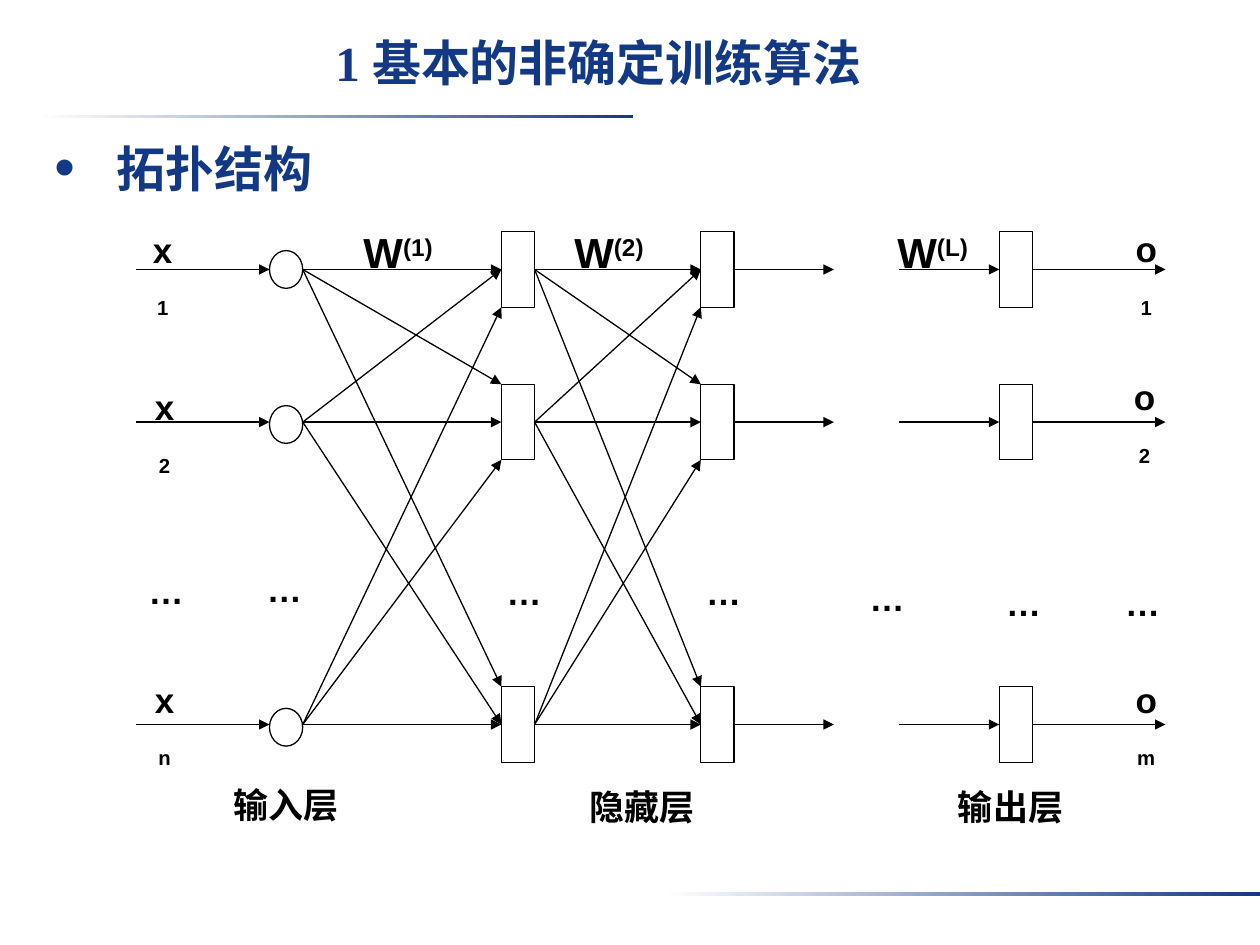
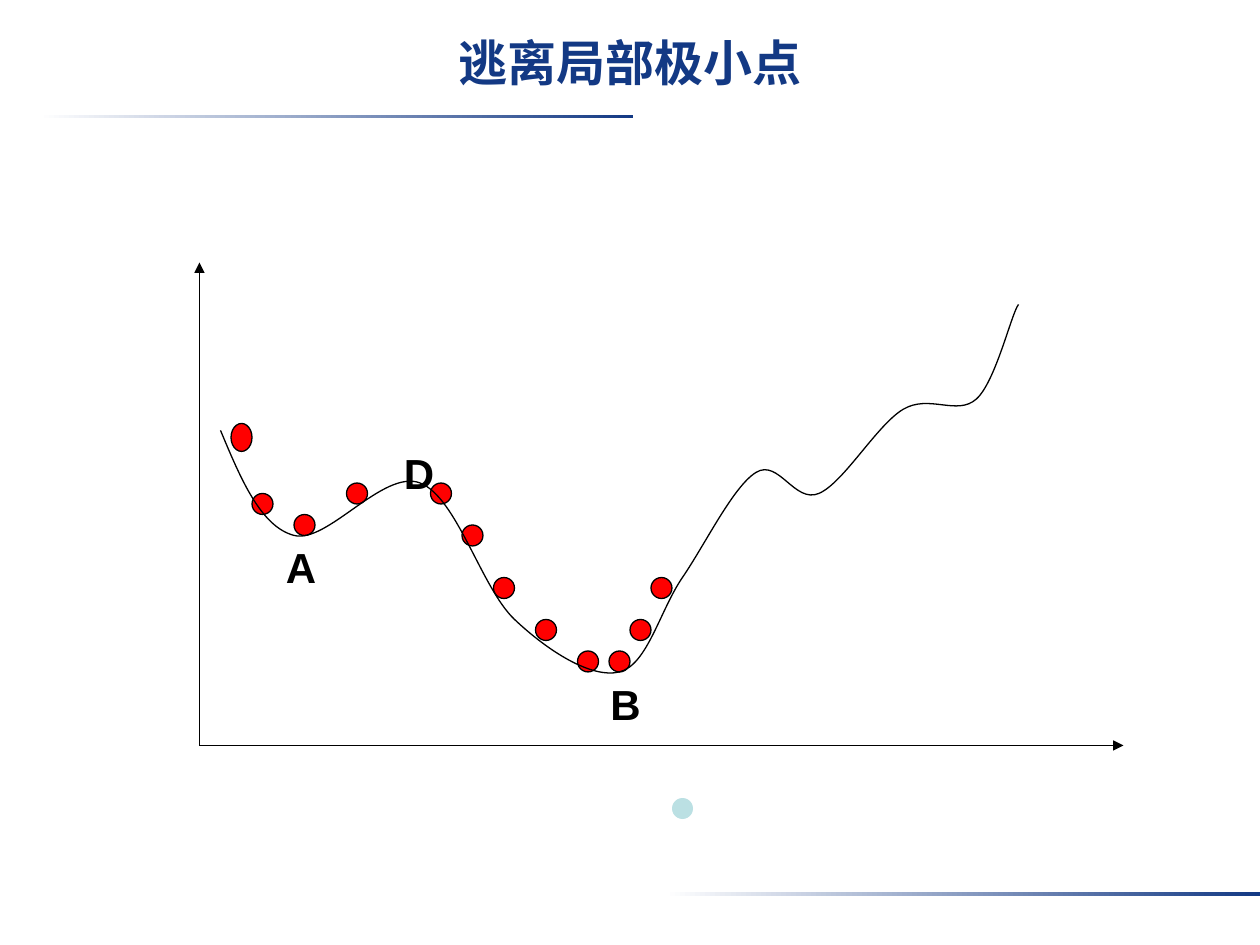
"""Build two slides on non-deterministic training: network topology and escaping a local minimum."""
import pptx
import pptx.dml.color
import pptx.enum.shapes
import pptx.enum.text
import pptx.oxml
import pptx.oxml.ns
import pptx.util

Pt = pptx.util.Pt
KIND = pptx.enum.shapes.MSO_SHAPE
CENTER = pptx.enum.text.PP_ALIGN.CENTER
NAVY, BLACK, WHITE, RED, PALE = "133984", "000000", "FFFFFF", "FF0000", "BBE0E3"
HEADING = {"size": Pt(28), "bold": True, "name": "Times New Roman"}
LABEL = {"size": Pt(20), "bold": True, "name": "Arial"}
LARGE = {**LABEL, "size": Pt(24)}


def color(value):
    return pptx.dml.color.RGBColor.from_string(value)


def write(page, area, runs, font, ink, frame_format, paragraph_format):
    box = page.shapes.add_textbox(*[Pt(length) for length in area])
    for name, value in frame_format.items():
        setattr(box.text_frame, name, value)
    para = box.text_frame.paragraphs[0]
    for name, value in paragraph_format.items():
        setattr(para, name, value)
    for text, baseline in runs:
        span = para.add_run()
        span.text = text
        for name, value in font.items():
            setattr(span.font, name, value)
        span.font.color.rgb = color(ink)
        if baseline:
            span.font._element.set("baseline", str(baseline * 1000))
    return para


row_centers = [154, 241.2, 414]
box_width, box_height = 19, 43.2
half = box_height / 2
input_left, hidden_left, second_left, output_left = 154, 286.5, 400.5, 571
links = [(0, 0, 0), (1, 1, 0), (2, 2, 0), (0, 1, -half), (0, 2, -half),
         (1, 0, 0), (1, 2, 0), (2, 0, half), (2, 1, half)]

network_shapes = [(KIND.OVAL, input_left, top, box_width, 21.6, WHITE, True)
                  for top in (143.2, 231.8, 404.8)]
network_shapes += [(KIND.RECTANGLE, left, center - half, box_width, box_height, WHITE, True)
                   for left in (hidden_left, second_left, output_left) for center in row_centers]
stubs = [(78, input_left), (second_left + box_width, 476.5), (514, output_left),
         (output_left + box_width, 666)]
network_arrows = [(start, center, end, center) for start, end in stubs for center in row_centers]
network_arrows += [(left + box_width, row_centers[source], right, row_centers[target] + shift)
                   for left, right in ((input_left, hidden_left), (hidden_left, second_left))
                   for source, target, shift in links]

network_labels = [(center, top, [(text, 0)], LABEL) for text, center, top in [
    ("输出层", 577.5, 445.5), ("隐藏层", 367, 445.5), ("输入层", 163.5, 444.2)]]
network_labels += [(center, top, [("…", 0)], LABEL) for center, top in [
    (95, 322), (162.5, 321), (299.5, 322.5), (413.5, 322.5), (507, 326), (585, 328.5), (653, 328.5)]]
network_labels += [(center, 126, [("W", 0), (layer, 30)], LARGE) for layer, center in [
    ("(1)", 227.5), ("(2)", 348), ("(L)", 533)]]
signals = [("x", "1", 93, 127), ("x", "2", 94, 217), ("x", "n", 94, 384),
           ("o", "1", 655, 126.5), ("o", "2", 654, 211), ("o", "m", 655, 384)]

ball = 12
ball_corners = [(144, 282), (168, 294), (198, 276), (246, 276), (264, 300), (282, 330),
                (306, 354), (330, 372), (348, 372), (360, 354), (372, 330)]
descent_shapes = [(KIND.OVAL, 132, 242, ball, 16, RED, True)]
descent_shapes += [(KIND.OVAL, left, top, ball, ball, RED, True) for left, top in ball_corners]
descent_shapes += [(KIND.OVAL, 384, 456, ball, ball, PALE, False)]
descent_arrows = [(114, 426, 114, 150), (114, 426, 642, 426)]
descent_labels = [(center, top, [(text, 0)], LARGE) for text, center, top in [
    ("D", 239.5, 252), ("B", 357.5, 384), ("A", 172, 306)]]
curve_start = (126, 246)
curve_pieces = [
    ((137.5, 273.5), (149, 301), (168, 306)), ((187, 311), (219, 268), (240, 276)),
    ((261, 284), (275, 336), (294, 354)), ((313, 372), (338, 388), (354, 384)),
    ((370, 380), (377, 349), (390, 330)), ((403, 311), (419, 278), (432, 270)),
    ((445, 262), (454, 288), (468, 282)), ((482, 276), (501, 243), (516, 234)),
    ((531, 225), (547, 238), (558, 228)), ((569, 218), (578, 179), (582, 174))]

deck = pptx.Presentation()
deck.slide_width, deck.slide_height = Pt(720), Pt(540)
slides = [
    ("1 基本的非确定训练算法", 684, HEADING, network_shapes, network_arrows, network_labels),
    ("逃离局部极小点", 720, {**HEADING, "name": "Arial"}, descent_shapes, descent_arrows, descent_labels)]

for title, title_width, title_font, shapes, arrows, labels in slides:
    page = deck.slides.add_slide(deck.slide_layouts[6])
    for left, top in ((22, 65.5), (380, 510)):
        band = page.shapes.add_shape(KIND.RECTANGLE, Pt(left), Pt(top), Pt(340), Pt(2.2))
        band.shadow.inherit = False
        band.line.fill.background()
        band.fill.gradient()
        band.fill.gradient_angle = 0
        for stop, shade in zip(band.fill.gradient_stops, (WHITE, NAVY)):
            stop.color.rgb = color(shade)
    write(page, (0, 14.4, title_width, 54), [(title, 0)], title_font, NAVY,
          {"word_wrap": True, "margin_top": Pt(4.3)}, {"alignment": CENTER})

    side_middles = {}
    for kind, left, top, width, height, fill, outlined in shapes:
        shape = page.shapes.add_shape(kind, Pt(left), Pt(top), Pt(width), Pt(height))
        shape.shadow.inherit = False
        shape.fill.solid()
        shape.fill.fore_color.rgb = color(fill)
        if outlined:
            shape.line.color.rgb = color(BLACK)
            shape.line.width = Pt(0.75)
        else:
            shape.line.fill.background()
        if kind == KIND.RECTANGLE:
            middle = round(top + height / 2, 2)
            side_middles[left, middle] = (shape, 1)
            side_middles[left + width, middle] = (shape, 3)

    for start_x, start_y, end_x, end_y in arrows:
        arrow = page.shapes.add_connector(pptx.enum.shapes.MSO_CONNECTOR.STRAIGHT,
                                          Pt(start_x), Pt(start_y), Pt(end_x), Pt(end_y))
        arrow.line.color.rgb = color(BLACK)
        arrow.line.width = Pt(0.75)
        head = pptx.oxml.ns.qn("a:tailEnd")
        arrow.line._get_or_add_ln().append(arrow._element.makeelement(head, {"type": "triangle"}))
        effects = pptx.oxml.ns.qn("a:effectLst")
        arrow._element.spPr.append(arrow._element.makeelement(effects, {}))
        if (start_x, start_y) in side_middles:
            arrow.begin_connect(*side_middles[start_x, start_y])
        if (end_x, end_y) in side_middles:
            arrow.end_connect(*side_middles[end_x, end_y])

    for center, top, runs, font in labels:
        write(page, (center - 40, top, 80, 32), runs, font, BLACK,
              {"word_wrap": False}, {"alignment": CENTER})

network_page, descent_page = deck.slides
topic = write(network_page, (24, 72, 174, 48), [("拓扑结构", 0)], HEADING, NAVY,
              {"word_wrap": True}, {"line_spacing": 1.1})
topic_format = topic._p.get_or_add_pPr()
for name, value in {"marL": Pt(35.5), "indent": Pt(-35.5)}.items():
    topic_format.set(name, str(value))
for tag, attributes in (("a:buSzPct", {"val": "120000"}), ("a:buFont", {"typeface": "Arial"}),
                        ("a:buChar", {"char": "•"})):
    topic_format.append(topic_format.makeelement(pptx.oxml.ns.qn(tag), attributes))

tight = {"word_wrap": True, "margin_left": 0, "margin_right": 0}
for letter, index, center, top in signals:
    write(network_page, (center - 7.5, top, 15, 60), [(letter, 0), (index, -30)], LABEL, BLACK,
          tight, {"alignment": CENTER})

builder = descent_page.shapes.build_freeform(Pt(curve_start[0]), Pt(curve_start[1]))
builder.add_line_segments([(Pt(x), Pt(y)) for *_, (x, y) in curve_pieces], close=False)
curve = builder.convert_to_shape()
curve.shadow.inherit = False
curve.fill.background()
curve.line.color.rgb = color(BLACK)
curve.line.width = Pt(0.75)
for segment, piece in zip(list(curve._element.iter(pptx.oxml.ns.qn("a:lnTo"))), curve_pieces):
    bend = segment.makeelement(pptx.oxml.ns.qn("a:cubicBezTo"), {})
    for x, y in piece:
        point = {"x": str(Pt(x) - curve.left), "y": str(Pt(y) - curve.top)}
        bend.append(bend.makeelement(pptx.oxml.ns.qn("a:pt"), point))
    segment.getparent().replace(segment, bend)

deck.save("out.pptx")
